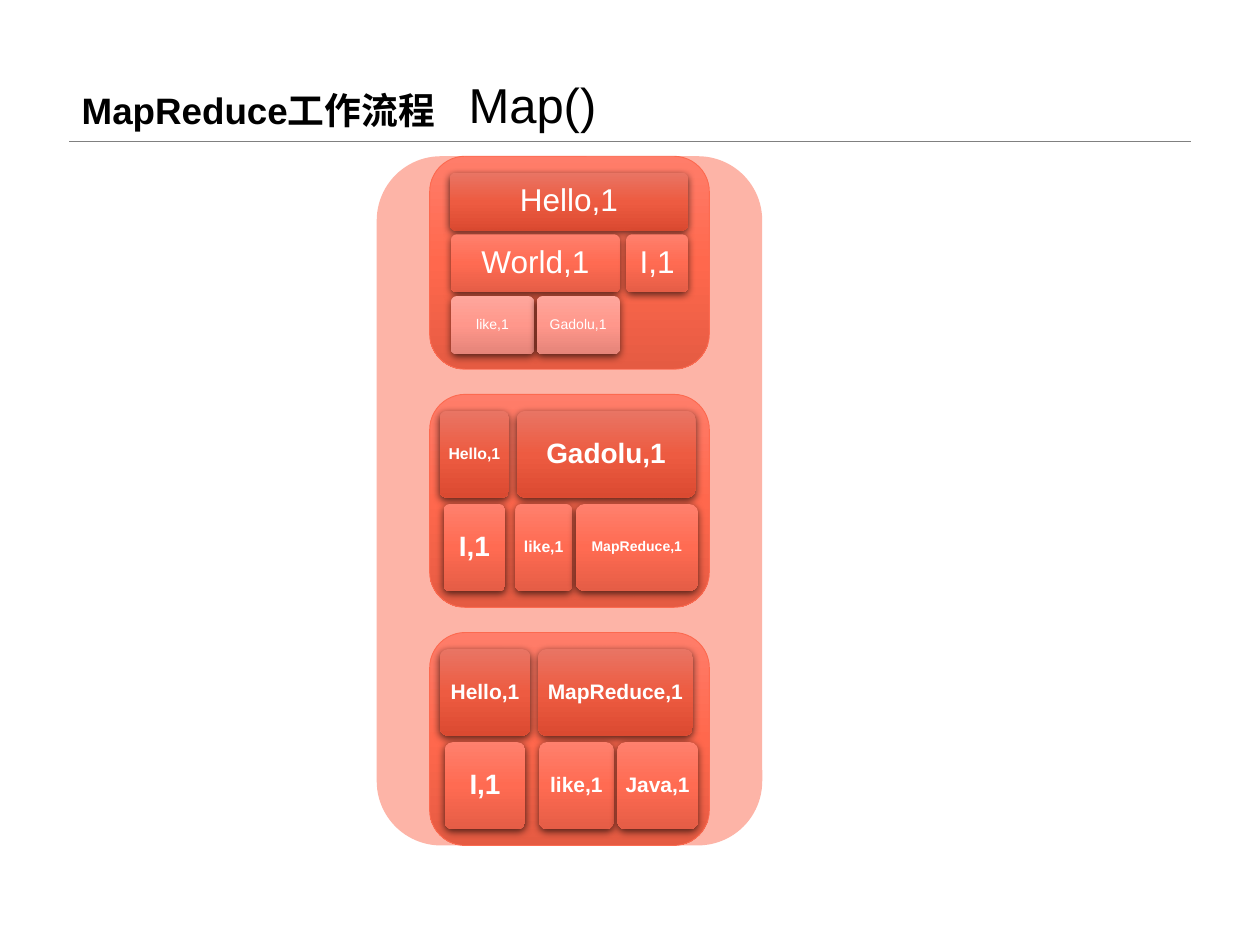
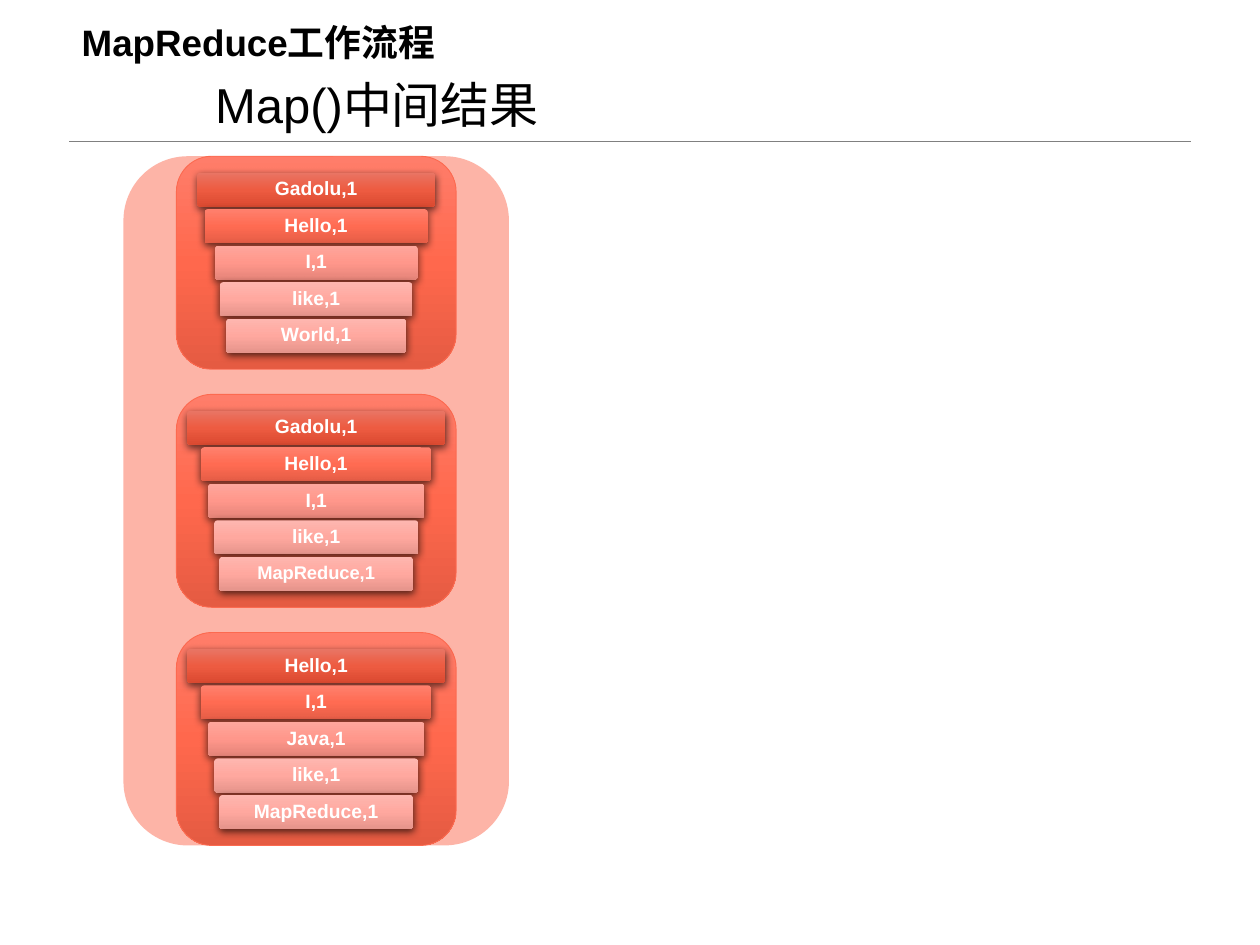
"""Build two slides on the Map() step of the MapReduce workflow."""
from dataclasses import dataclass

from lxml.etree import SubElement
from pptx import Presentation
from pptx.dml.color import RGBColor
from pptx.enum.shapes import MSO_CONNECTOR as Connector, MSO_SHAPE as Preset
from pptx.enum.text import MSO_ANCHOR as Anchor, PP_ALIGN as Align
from pptx.oxml.ns import qn
from pptx.util import Inches, Pt

COLORS = {"ink": "000000", "white": "FFFFFF", "rule": "808080", "coral": "FC6A50"}
CARD_GRADIENT = ("FF7D6A", "FF684D", "E55B42")
ROW_GRADIENTS = (
    ("E97564", "ED5B41", "DB4A31"),
    ("FF806D", "FF6B52", "E55D46"),
    ("FEA69C", "FF978B", "E58479"),
    ("FEB6AF", "FFA89F", "E5948B"),
    ("FEB6AF", "FFA89F", "E5948B"),
)
FONT = "Arial"
PANEL_TOP, PANEL_WIDTH, PANEL_HEIGHT = 1.24, 3.06, 5.47
CARD_INDENT, CARD_WIDTH, CARD_HEIGHT, CARD_PITCH = 0.42, 2.22, 1.69, 1.89
FIRST_ROW = 0.13


@dataclass(frozen=True)
class Box:
    left: float
    top: float
    width: float
    height: float

    def lengths(self) -> tuple:
        return tuple(Inches(v) for v in (self.left, self.top, self.width, self.height))


@dataclass(frozen=True)
class Pair:
    text: str
    row: int
    left: float
    width: float
    size: float


@dataclass(frozen=True)
class Split:
    pairs: tuple
    row_height: float
    row_pitch: float
    bold: bool = True


def rgb(value: str) -> RGBColor:
    return RGBColor.from_string(value)


def write(shape, text: str, *, size: float, color: str = "ink", bold: bool = False,
          align=Align.LEFT, anchor=Anchor.TOP, inset: tuple = (0.1, 0.05),
          spacing: float = 1.0) -> None:
    frame = shape.text_frame
    frame.word_wrap = True
    frame.vertical_anchor = anchor
    frame.margin_left = frame.margin_right = Inches(inset[0])
    frame.margin_top = frame.margin_bottom = Inches(inset[1])
    paragraph = frame.paragraphs[0]
    paragraph.alignment = align
    paragraph.line_spacing = spacing
    run = paragraph.add_run()
    run.text = text
    run.font.name = FONT
    run.font.size = Pt(size)
    run.font.bold = bold
    run.font.color.rgb = rgb(COLORS[color])


def add_rounded(slide, box: Box):
    shape = slide.shapes.add_shape(Preset.ROUNDED_RECTANGLE, *box.lengths())
    shape.shadow.inherit = False
    shape.line.fill.background()
    return shape


def fill_gradient(shape, stops: tuple) -> None:
    shape.fill.gradient()
    shape.fill.gradient_angle = 270
    stop_list = next(shape.element.spPr.iter(qn("a:gsLst")))
    for old in list(stop_list):
        stop_list.remove(old)
    for position, value in zip((0, 50000, 100000), stops):
        stop = SubElement(stop_list, qn("a:gs"), pos=str(position))
        SubElement(stop, qn("a:srgbClr"), val=value)


def cast_shadow(shape) -> None:
    effects = shape.element.spPr.find(qn("a:effectLst"))
    shadow = SubElement(effects, qn("a:outerShdw"), blurRad=str(Pt(4.5)),
                        dist=str(Pt(1.5)), dir="5400000", algn="ctr", rotWithShape="0")
    tint = SubElement(shadow, qn("a:srgbClr"), val=COLORS["ink"])
    SubElement(tint, qn("a:alpha"), val="63000")


def add_rule(slide) -> None:
    rule = slide.shapes.add_connector(
        Connector.STRAIGHT, Inches(0.55), Inches(1.12), Inches(9.45), Inches(1.12))
    rule.line.color.rgb = rgb(COLORS["rule"])
    rule.line.width = Pt(0.25)
    SubElement(rule.element.spPr, qn("a:effectLst"))


def add_panel(slide, left: float) -> None:
    panel = add_rounded(slide, Box(left, PANEL_TOP, PANEL_WIDTH, PANEL_HEIGHT))
    panel.fill.solid()
    panel.fill.fore_color.rgb = rgb(COLORS["coral"])
    tint = panel.element.spPr.find(qn("a:solidFill")).find(qn("a:srgbClr"))
    SubElement(tint, qn("a:alpha"), val="50000")


def add_card(slide, left: float, top: float) -> None:
    card = add_rounded(slide, Box(left, top, CARD_WIDTH, CARD_HEIGHT))
    fill_gradient(card, CARD_GRADIENT)
    card.line.color.rgb = rgb(COLORS["coral"])
    card.line.width = Pt(0.5)


def add_pair(slide, pair: Pair, split: Split, card_top: float) -> None:
    top = card_top + FIRST_ROW + pair.row * split.row_pitch
    tile = add_rounded(slide, Box(pair.left, top, pair.width, split.row_height))
    tile.adjustments[0] = 0.1
    fill_gradient(tile, ROW_GRADIENTS[pair.row])
    cast_shadow(tile)
    write(tile, pair.text, size=pair.size, color="white", bold=split.bold,
          align=Align.CENTER, anchor=Anchor.MIDDLE, inset=(0.02, 0.02), spacing=0.9)


def add_map_slide(deck, subtitle: str, panel_left: float, title_top: float,
                  splits: tuple) -> None:
    slide = deck.slides.add_slide(deck.slide_layouts[6])
    add_rule(slide)
    add_panel(slide, panel_left)
    heading = slide.shapes.add_textbox(*Box(panel_left + 0.63, 0.54, 3.39, 0.57).lengths())
    write(heading, subtitle, size=28)
    title = slide.shapes.add_textbox(*Box(0.55, title_top, 8.9, 1.12).lengths())
    write(title, "MapReduce工作流程", size=21, bold=True, anchor=Anchor.BOTTOM, spacing=0.9)
    for index, split in enumerate(splits):
        card_top = PANEL_TOP + index * CARD_PITCH
        add_card(slide, panel_left + CARD_INDENT, card_top)
        for pair in split.pairs:
            add_pair(slide, pair, split, card_top)


def sorted_split(panel_left: float, words: tuple, widths: tuple, last_size: float) -> Split:
    center = panel_left + CARD_INDENT + CARD_WIDTH / 2
    sizes = (11, 11, 11, 11, last_size)
    pairs = tuple(
        Pair(f"{word},1", row, center - width / 2, width, size)
        for row, (word, width, size) in enumerate(zip(words, widths, sizes)))
    return Split(pairs, 0.27, 0.29)


MAPPED = (
    Split((
        Pair("Hello,1", 0, 3.57, 1.89, 18),
        Pair("World,1", 1, 3.58, 1.34, 18),
        Pair("I,1", 1, 4.97, 0.49, 18),
        Pair("like,1", 2, 3.58, 0.66, 8),
        Pair("Gadolu,1", 2, 4.26, 0.66, 8),
    ), 0.46, 0.49, bold=False),
    Split((
        Pair("Hello,1", 0, 3.49, 0.55, 9),
        Pair("Gadolu,1", 0, 4.1, 1.42, 16),
        Pair("I,1", 1, 3.52, 0.49, 16),
        Pair("like,1", 1, 4.09, 0.45, 9),
        Pair("MapReduce,1", 1, 4.57, 0.97, 8),
    ), 0.69, 0.74),
    Split((
        Pair("Hello,1", 0, 3.49, 0.72, 12),
        Pair("MapReduce,1", 0, 4.27, 1.23, 12),
        Pair("I,1", 1, 3.53, 0.64, 16),
        Pair("like,1", 1, 4.28, 0.59, 12),
        Pair("Java,1", 1, 4.9, 0.64, 12),
    ), 0.69, 0.74),
)
SORTED_LEFT = 0.98
NARROW = (1.89, 1.77, 1.61, 1.53, 1.43)
WIDE = (2.05, 1.83, 1.72, 1.62, 1.54)
SORTED_WORDS = (
    (("Gadolu", "Hello", "I", "like", "World"), NARROW, 11),
    (("Gadolu", "Hello", "I", "like", "MapReduce"), WIDE, 10.5),
    (("Hello", "I", "Java", "like", "MapReduce"), WIDE, 11),
)


def main() -> None:
    deck = Presentation()
    deck.slide_width, deck.slide_height = Inches(10), Inches(7.5)
    add_map_slide(deck, "Map()", 2.99, -0.02, MAPPED)
    add_map_slide(deck, "Map()中间结果", SORTED_LEFT, -0.56, tuple(
        sorted_split(SORTED_LEFT, *group) for group in SORTED_WORDS))
    deck.save("out.pptx")


if __name__ == "__main__":
    main()
